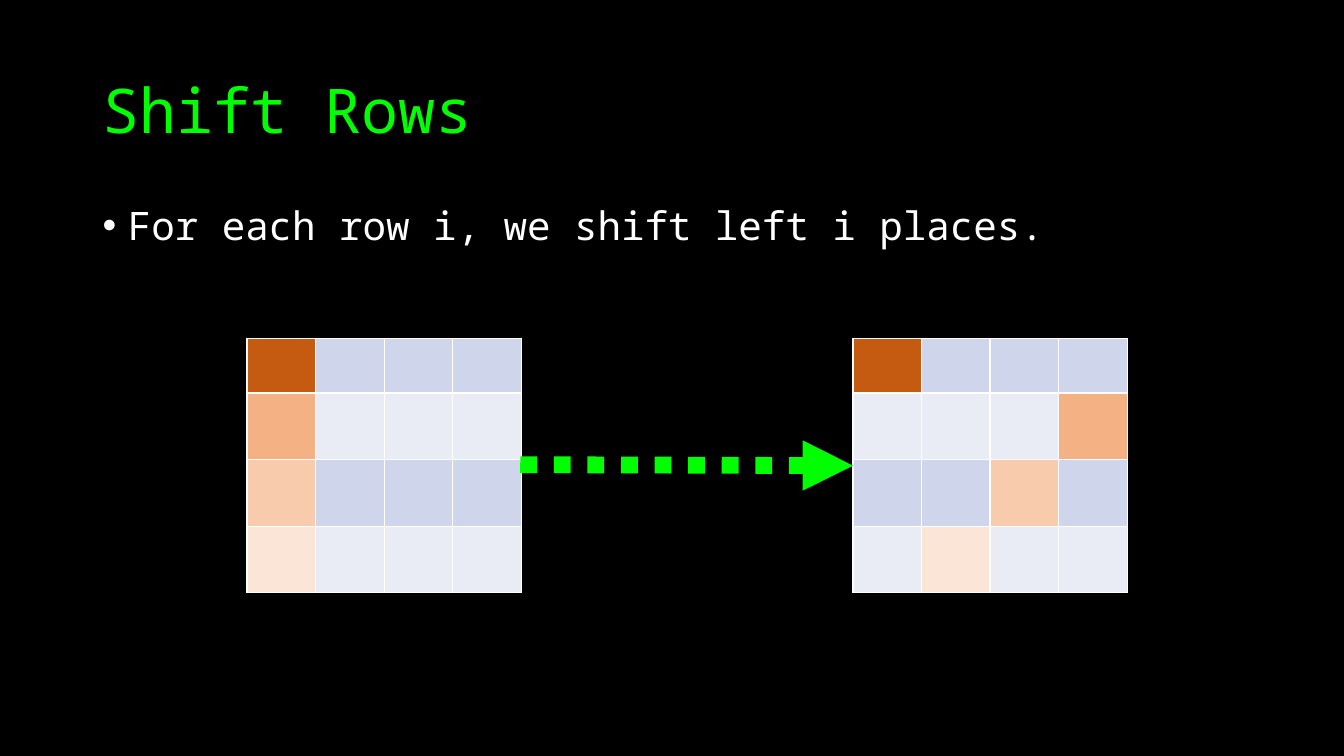
import lxml.etree
import pptx
import pptx.dml.color
import pptx.enum.dml
import pptx.enum.shapes
import pptx.enum.text
import pptx.oxml.ns
import pptx.util

Inches = pptx.util.Inches
Pt = pptx.util.Pt
qn = pptx.oxml.ns.qn

FONT = "Noto Sans Mono"
COLORS = {"background": "000000", "accent": "00FF00", "text": "FFFFFF", "border": "FFFFFF"}
BANDS = ["CFD5EA", "E9EBF5"]
MARKED = ["C55A11", "F4B183", "F8CBAD", "FBE5D6"]
SIZE = 4
COLUMN_WIDTH = 0.68
ROW_HEIGHTS = [0.54, 0.66, 0.66, 0.66]


def rgb(value):
    return pptx.dml.color.RGBColor.from_string(value)


def add_text(page, text, left, top, width, height, size, color,
             anchor=pptx.enum.text.MSO_ANCHOR.TOP, before=0, bullet=None):
    box = page.shapes.add_textbox(Inches(left), Inches(top), Inches(width), Inches(height))
    frame = box.text_frame
    frame.word_wrap = True
    frame.vertical_anchor = anchor
    para = frame.paragraphs[0]
    para.line_spacing = 0.9
    para.space_before = Pt(before)
    span = para.add_run()
    span.text = text
    span.font.name = FONT
    span.font.size = Pt(size)
    span.font.color.rgb = rgb(color)
    if bullet:
        properties = para._p.get_or_add_pPr()
        properties.set("marL", str(Inches(0.25)))
        properties.set("indent", str(Inches(-0.25)))
        lxml.etree.SubElement(properties, qn("a:buFont"), typeface="Arial")
        lxml.etree.SubElement(properties, qn("a:buChar"), char=bullet)


def set_borders(cell, color, width):
    properties = cell._tc.get_or_add_tcPr()
    for index, side in enumerate(["a:lnL", "a:lnR", "a:lnT", "a:lnB"]):
        line = lxml.etree.Element(qn(side), w=str(Pt(width)))
        fill = lxml.etree.SubElement(line, qn("a:solidFill"))
        lxml.etree.SubElement(fill, qn("a:srgbClr"), val=color)
        properties.insert(index, line)


def add_state(page, left, top, shift):
    frame = page.shapes.add_table(SIZE, SIZE, Inches(left), Inches(top),
                                  Inches(SIZE * COLUMN_WIDTH), Inches(sum(ROW_HEIGHTS)))
    table = frame.table
    table.first_row = False
    table.horz_banding = False
    for column in table.columns:
        column.width = Inches(COLUMN_WIDTH)
    for row, height in enumerate(ROW_HEIGHTS):
        table.rows[row].height = Inches(height)
        marked_column = -row * shift % SIZE
        for column in range(SIZE):
            cell = table.cell(row, column)
            cell.fill.solid()
            color = MARKED[row] if column == marked_column else BANDS[row % 2]
            cell.fill.fore_color.rgb = rgb(color)
            set_borders(cell, COLORS["border"], 1)


def add_arrow(page, start, end, color, width):
    arrow = page.shapes.add_connector(pptx.enum.shapes.MSO_CONNECTOR.STRAIGHT,
                                      *map(Inches, start + end))
    arrow.line.color.rgb = rgb(color)
    arrow.line.width = Pt(width)
    arrow.line.dash_style = pptx.enum.dml.MSO_LINE.ROUND_DOT
    line = arrow.line._get_or_add_ln()
    line.find(qn("a:prstDash")).set("val", "sysDot")
    lxml.etree.SubElement(line, qn("a:tailEnd"), type="triangle")
    lxml.etree.SubElement(arrow._element.spPr, qn("a:effectLst"))


def main():
    deck = pptx.Presentation()
    deck.slide_width = Inches(13.33)
    deck.slide_height = Inches(7.5)
    page = deck.slides.add_slide(deck.slide_layouts[6])
    page.background.fill.solid()
    page.background.fill.fore_color.rgb = rgb(COLORS["background"])

    add_text(page, "Shift Rows", 0.92, 0.4, 11.5, 1.45, size=44, color=COLORS["accent"],
             anchor=pptx.enum.text.MSO_ANCHOR.MIDDLE)
    add_text(page, "For each row i, we shift left i places.", 0.92, 2, 11.5, 0.64,
             size=28, color=COLORS["text"], before=10, bullet="•")
    add_state(page, 2.45, 3.36, shift=0)
    add_state(page, 8.46, 3.36, shift=1)
    add_arrow(page, (5.16, 4.61), (8.46, 4.62), color=COLORS["accent"], width=12)
    deck.save("out.pptx")


if __name__ == "__main__":
    main()
